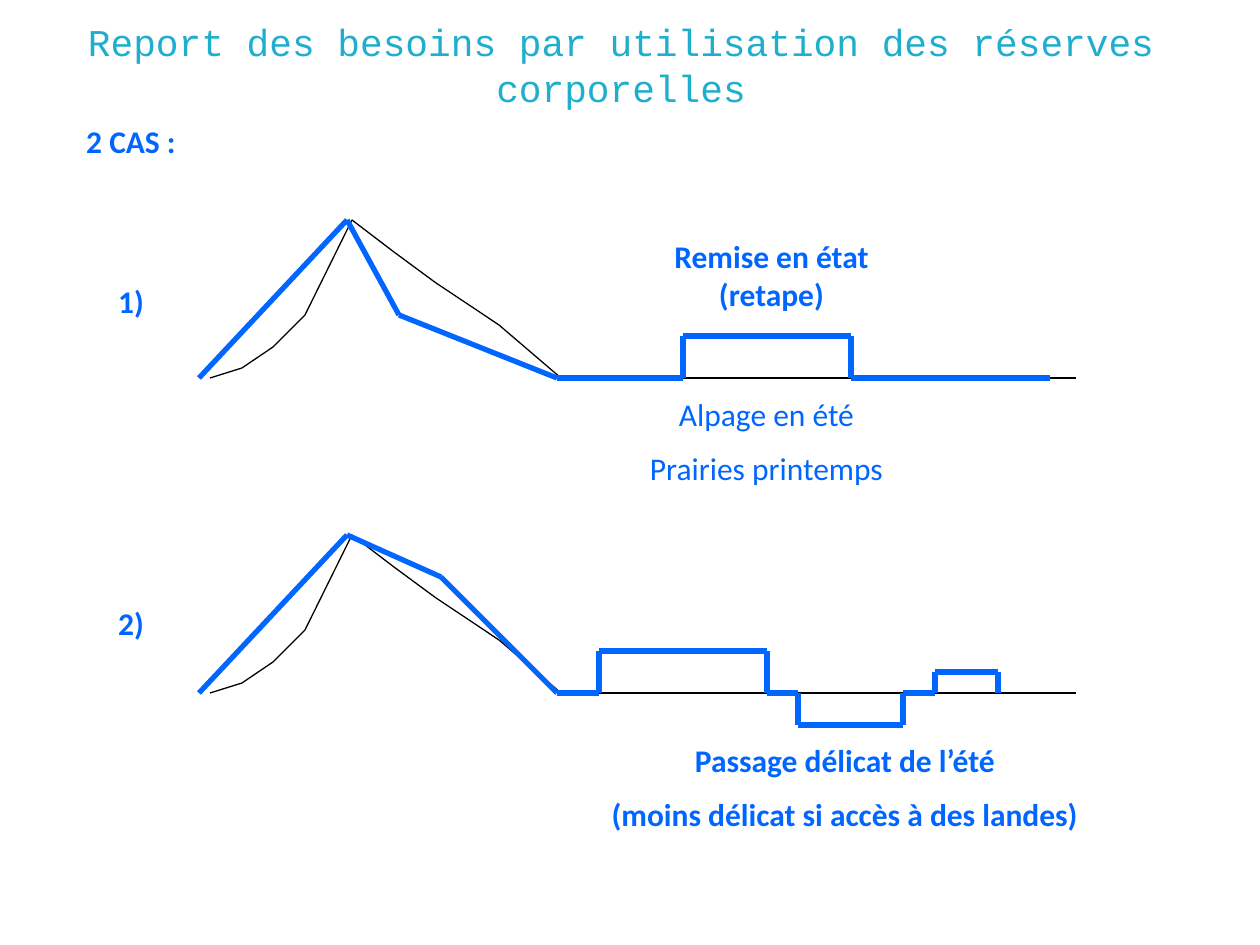
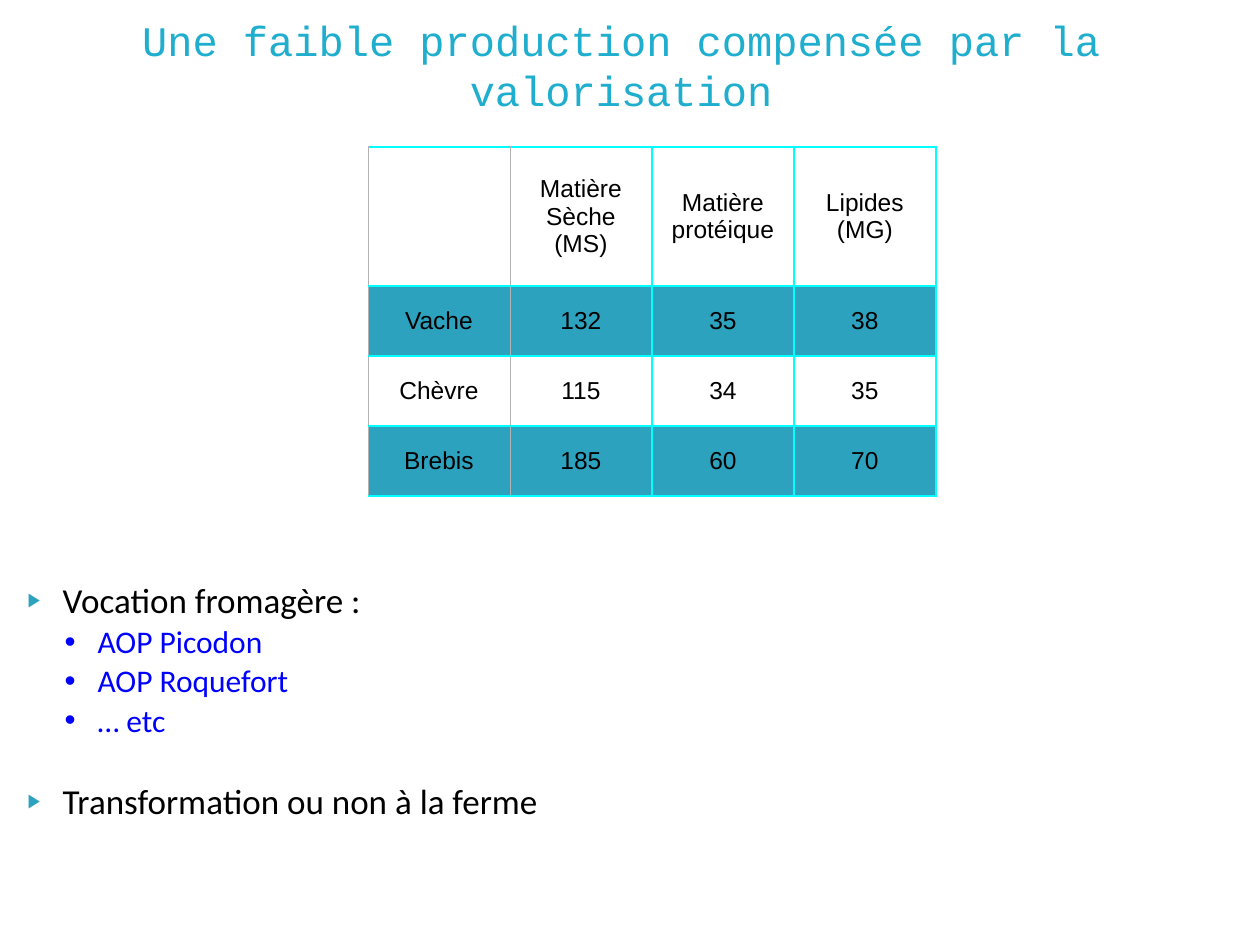
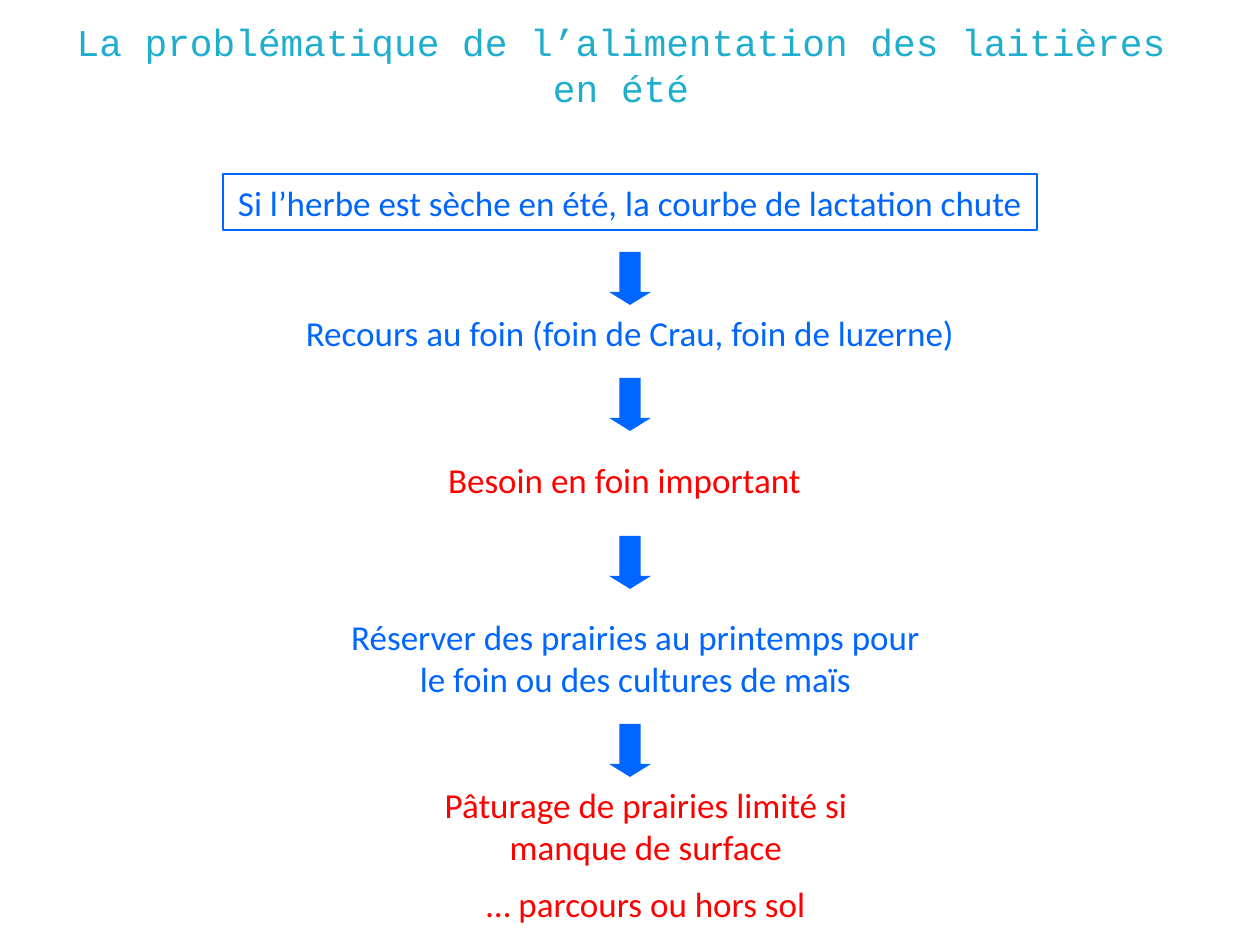
from dataclasses import dataclass
from itertools import pairwise

from lxml.etree import SubElement
from pptx import Presentation
from pptx.dml.color import RGBColor
from pptx.enum.shapes import MSO_CONNECTOR, MSO_SHAPE
from pptx.enum.text import MSO_ANCHOR, MSO_AUTO_SIZE, PP_ALIGN
from pptx.oxml.ns import qn
from pptx.util import Emu, Pt


@dataclass(frozen=True)
class Theme:
    title: str = "1FAECD"
    blue: str = "0066FF"
    link: str = "0000FF"
    red: str = "FF0000"
    black: str = "000000"
    teal: str = "2DA2BF"
    cyan: str = "00FFFF"
    grey: str = "B2B2B2"
    title_font: str = "Courier New"
    body_font: str = "Calibri"
    table_font: str = "Arial"
    title_size: float = 24
    long_title_size: float = 21.6
    large: int = 20
    medium: int = 18
    small: int = 14
    gap: int = 9


T = Theme()
TITLE_AND_BODY, TITLE_ONLY = 1, 5


def px(n):
    return Emu(round(n * 914400 / 126))


def rgb(color):
    return RGBColor.from_string(color)


def place(sp, x, y, w, h):
    sp.left, sp.top, sp.width, sp.height = px(x), px(y), px(w), px(h)


def add_run(p, text, size, color, font=T.body_font, bold=False):
    r = p.add_run()
    r.text = text
    r.font.name, r.font.size, r.font.bold = font, Pt(size), bold
    r.font.color.rgb = rgb(color)


def write(tf, lines, size, color, font=T.body_font, bold=False, gap=0):
    """Write centred paragraphs, spaced apart by gap points."""
    for i, line in enumerate(lines):
        p = tf.add_paragraph() if i else tf.paragraphs[0]
        p.alignment = PP_ALIGN.CENTER
        p.space_before = Pt(gap if i else 0)
        add_run(p, line, size, color, font, bold)


def add_slide(prs, layout, title, size):
    s = prs.slides.add_slide(prs.slide_layouts[layout])
    sp = s.shapes.title
    place(sp, 54, 16, 1134, 97)
    tf = sp.text_frame
    tf.auto_size = MSO_AUTO_SIZE.NONE
    tf.vertical_anchor = MSO_ANCHOR.MIDDLE
    write(tf, [title], size, T.title, T.title_font)
    return s


def add_label(s, box, lines, size, color, bold=False):
    tf = s.shapes.add_textbox(*map(px, box)).text_frame
    tf.word_wrap = True
    write(tf, lines, size, color, bold=bold, gap=T.gap)


def add_polyline(s, baseline, points, color, width):
    """Draw straight segments through points whose heights are above the baseline."""
    for (x1, h1), (x2, h2) in pairwise(points):
        c = s.shapes.add_connector(MSO_CONNECTOR.STRAIGHT, px(x1), px(baseline - h1),
                                   px(x2), px(baseline - h2))
        c.line.color.rgb, c.line.width = rgb(color), Pt(width)
        SubElement(c._element.spPr, qn("a:effectLst"))


def add_framed_text(s, box, text):
    sp = s.shapes.add_shape(MSO_SHAPE.RECTANGLE, *map(px, box))
    sp.shadow.inherit = False
    sp.fill.background()
    sp.line.color.rgb, sp.line.width = rgb(T.blue), Pt(0.75)
    sp.text_frame.word_wrap = False
    write(sp.text_frame, [text], T.large, T.blue)


def add_down_arrow(s, y):
    sp = s.shapes.add_shape(MSO_SHAPE.DOWN_ARROW, px(609), px(y), px(42), px(53))
    sp.shadow.inherit = False
    sp.adjustments[0], sp.adjustments[1] = 0.5, 0.31
    sp.fill.solid()
    sp.fill.fore_color.rgb = rgb(T.blue)
    sp.line.fill.background()


def set_border(cell, side, color, width):
    ln = SubElement(cell._tc.get_or_add_tcPr(), qn(f"a:{side}"), w=str(Pt(width)))
    SubElement(SubElement(ln, qn("a:solidFill")), qn("a:srgbClr"), val=color)


def add_milk_table(s, rows, x, y, col_width, header_height, row_height):
    n_rows, n_cols = len(rows), len(rows[0])
    height = header_height + row_height * (n_rows - 1)
    table = s.shapes.add_table(n_rows, n_cols, px(x), px(y), px(col_width * n_cols),
                               px(height)).table
    table.first_row = table.horz_banding = False
    for col in table.columns:
        col.width = px(col_width)
    for i, row in enumerate(rows):
        table.rows[i].height = px(row_height if i else header_height)
        for j, text in enumerate(row):
            cell = table.cell(i, j)
            cell.vertical_anchor = MSO_ANCHOR.MIDDLE
            left = (T.grey, 0.5) if j < 2 else (T.cyan, 1)
            right = (T.grey, 0.5) if j < 1 else (T.cyan, 1)
            for side, style in zip(("lnL", "lnR", "lnT", "lnB"),
                                   (left, right, (T.cyan, 1), (T.cyan, 1))):
                set_border(cell, side, *style)
            if i % 2:
                cell.fill.solid()
                cell.fill.fore_color.rgb = rgb(T.teal)
            else:
                cell.fill.background()
            if text:
                write(cell.text_frame, text.split("\n"), T.small, T.black, T.table_font)


def set_bullet(p, char, color, percent, margin, indent):
    pPr = p._p.get_or_add_pPr()
    pPr.set("marL", str(px(margin)))
    pPr.set("indent", str(px(-indent)))
    SubElement(SubElement(pPr, qn("a:buClr")), qn("a:srgbClr"), val=color)
    SubElement(pPr, qn("a:buSzPct"), val=str(percent * 1000))
    SubElement(pPr, qn("a:buFont"), typeface=T.table_font)
    SubElement(pPr, qn("a:buChar"), char=char)


def fill_list(sp, items):
    """Fill the body with (level, text, space before) items."""
    tf = sp.text_frame
    tf.auto_size = MSO_AUTO_SIZE.NONE
    for i, (level, text, before) in enumerate(items):
        p = tf.add_paragraph() if i else tf.paragraphs[0]
        p.level = level
        if level:
            set_bullet(p, "•", T.link, 100, 85, 33)
            add_run(p, text, T.medium, T.link)
        else:
            set_bullet(p, "▶", T.teal, 55, 50, 35)
            add_run(p, text, T.large, T.black)
        p.line_spacing, p.space_before = 0.9, Pt(before)


def build_reserves(prs):
    s = add_slide(prs, TITLE_ONLY, "Report des besoins par utilisation des réserves corporelles",
                  T.long_title_size)
    # Needs curve, then the feeding level of each case
    needs = [(210, 0), (242, 10), (273, 31), (305, 63), (352, 158), (394, 126),
             (436, 95), (499, 53), (561, 0), (1076, 0)]
    case_1 = [(199, 0), (347, 158), (399, 63), (557, 0), (683, 0), (683, 42),
              (851, 42), (851, 0), (1050, 0)]
    case_2 = [(199, 0), (347, 158), (441, 116), (557, 0), (599, 0), (599, 42),
              (767, 42), (767, 0), (798, 0), (798, -32), (903, -32), (903, 0),
              (935, 0), (935, 21), (998, 21), (998, 0)]
    for baseline, case in ((378, case_1), (693, case_2)):
        add_polyline(s, baseline, needs, T.black, 0.75)
        add_polyline(s, baseline, case, T.blue, 3)
    # Labels
    for y, text in ((116, "2 CAS :"), (276, "1)"), (598, "2)")):
        add_label(s, (0, y, 262, 51), [text], T.medium, T.blue, bold=True)
    add_label(s, (661, 231, 221, 88), ["Remise en état (retape)"], T.medium, T.blue, bold=True)
    add_label(s, (630, 389, 273, 107), ["Alpage en été", "Prairies printemps"],
              T.medium, T.blue)
    add_label(s, (588, 735, 514, 108),
              ["Passage délicat de l’été", "(moins délicat si accès à des landes)"],
              T.medium, T.blue, bold=True)


def build_production(prs):
    s = add_slide(prs, TITLE_AND_BODY, "Une faible production compensée par la valorisation",
                  T.title_size)
    # Milk composition
    rows = [("", "Matière\nSèche\n(MS)", "Matière\nprotéique", "Lipides\n(MG)"),
            ("Vache", "132", "35", "38"),
            ("Chèvre", "115", "34", "35"),
            ("Brebis", "185", "60", "70")]
    add_milk_table(s, rows, 368, 147, 142, 139, 70)
    # Cheese making
    body = s.placeholders[1]
    place(body, 0, 577, 1134, 287)
    fill_list(body, [(0, "Vocation fromagère :", 0),
                     (1, "AOP Picodon", 3),
                     (1, "AOP Roquefort", 3),
                     (1, "… etc", 3),
                     (0, "Transformation ou non à la ferme", 26)])


def build_summer_feeding(prs):
    s = add_slide(prs, TITLE_ONLY, "La problématique de l’alimentation des laitières en été",
                  T.long_title_size)
    # Chain of consequences
    add_framed_text(s, (223, 174, 814, 56),
                    "Si l’herbe est sèche en été, la courbe de lactation chute")
    steps = [
        ((280, 305, 700, 54), T.blue, ["Recours au foin (foin de Crau, foin de luzerne)"]),
        ((388, 452, 473, 54), T.red, ["Besoin en foin important"]),
        ((336, 609, 599, 97), T.blue,
         ["Réserver des prairies au printemps pour le foin ou des cultures de maïs"]),
        ((399, 777, 494, 161), T.red,
         ["Pâturage de prairies limité si manque de surface", "… parcours ou hors sol"]),
    ]
    for box, color, lines in steps:
        add_label(s, box, lines, T.large, color)
    for y in (252, 378, 536, 724):
        add_down_arrow(s, y)


def main():
    prs = Presentation()
    prs.slide_width, prs.slide_height = px(1260), px(945)
    build_reserves(prs)
    build_production(prs)
    build_summer_feeding(prs)
    prs.save("out.pptx")


if __name__ == "__main__":
    main()
